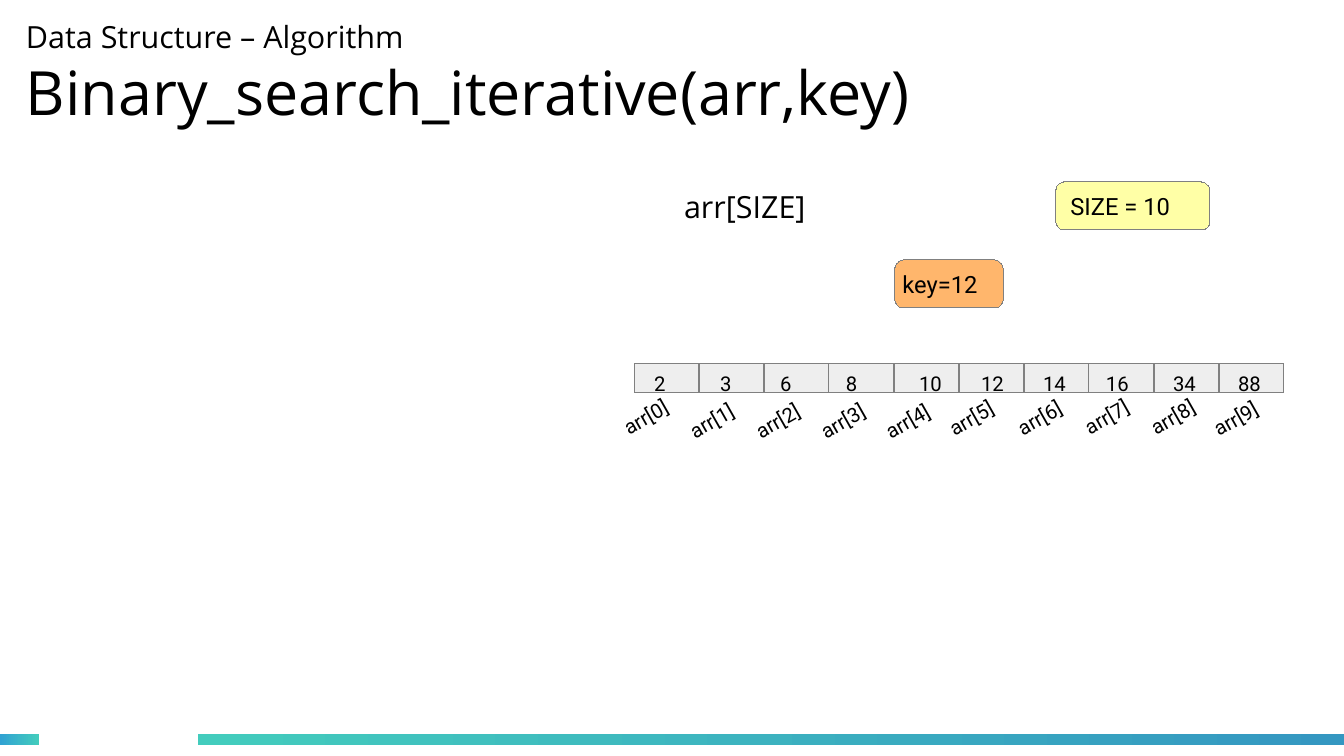
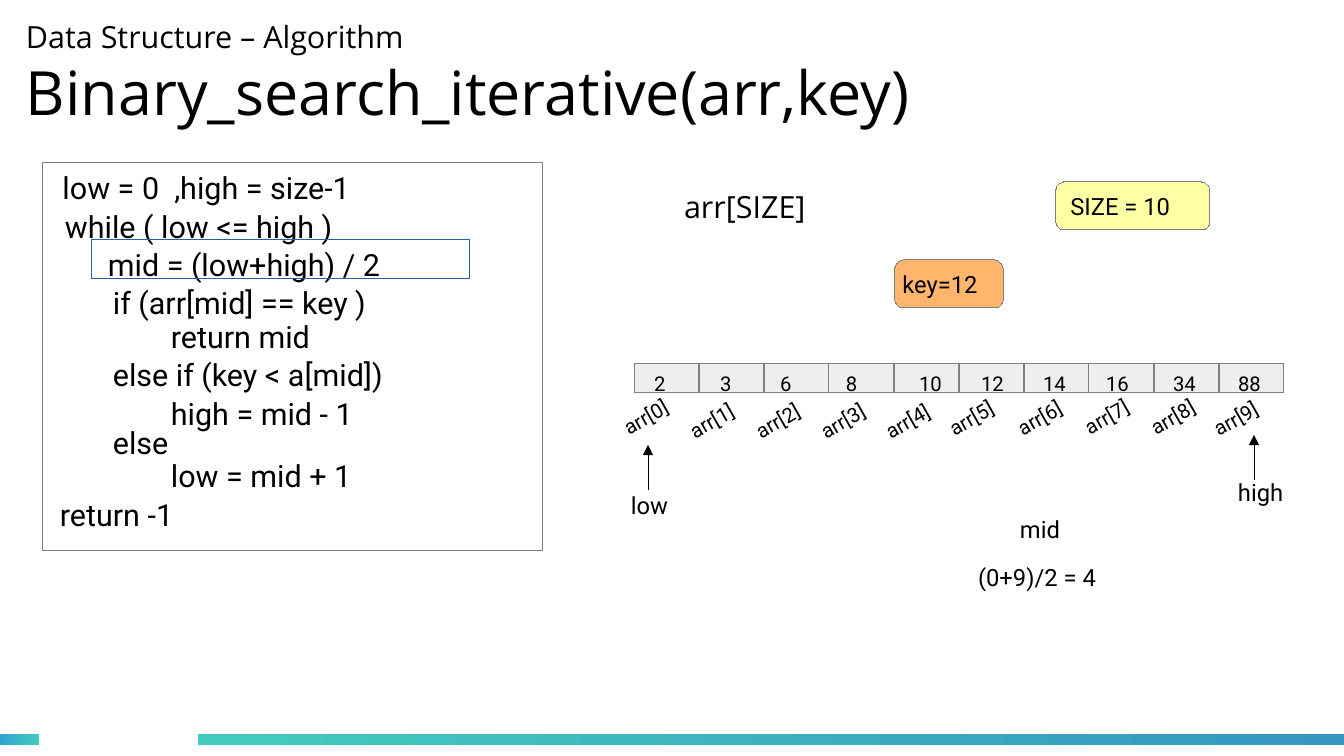
from pptx import Presentation
from pptx import util as u
from pptx.dml.color import RGBColor
from pptx.enum import shapes, text
from pptx.oxml.ns import qn
from lxml import etree

# Shared look
EMU_PER_PX = 7495
HAIRLINE = u.Emu(1)
BLACK = RGBColor(0x00, 0x00, 0x00)
WHITE = RGBColor(0xFF, 0xFF, 0xFF)
GREY = RGBColor(0x80, 0x80, 0x80)
CELL = RGBColor(0xEE, 0xEE, 0xEE)
YELLOW = RGBColor(0xFF, 0xFF, 0xA6)
ORANGE = RGBColor(0xFF, 0xB6, 0x6C)
NAVY = RGBColor(0x2A, 0x60, 0x99)
TEAL = RGBColor(0x43, 0xCC, 0xBD)
SKY = RGBColor(0x30, 0xA2, 0xD2)
BLUE = RGBColor(0x34, 0x97, 0xC1)
HEAD_FONT, BODY_FONT = "Open Sans", "Roboto"
RECT = shapes.MSO_SHAPE.RECTANGLE
ROUNDED = shapes.MSO_SHAPE.ROUNDED_RECTANGLE
TOP, MIDDLE = text.MSO_ANCHOR.TOP, text.MSO_ANCHOR.MIDDLE

# Array: value and left inset inside its cell
CELLS = [(2, 20), (3, 21), (6, 16), (8, 17), (10, 25),
         (12, 22), (14, 19), (16, 17), (34, 19), (88, 19)]
CELL_LEFT, CELL_TOP, CELL_WIDTH, CELL_HEIGHT = 634, 364, 65, 29
# Slanted index labels: left, top, width, height, rotation
INDEX_LABELS = [(610, 395, 85, 40, 330.4), (676, 399, 84, 40, 330.4),
                (742, 399, 84, 40, 330.4), (808, 399, 84, 44, 330.5),
                (872, 400, 82, 40, 330.4), (935, 394, 93, 40, 330.5),
                (1004, 392, 99, 44, 330.4), (1072, 395, 83, 44, 330.5),
                (1137, 395, 85, 40, 330.4), (1199, 393, 99, 40, 330.5)]

# Code: indent, line height, text
CODE = [(12, 36, " low = 0  ,high = size-1"),
        (22, 39, "while ( low <= high )"),
        (65, 38, "mid = (low+high) / 2"),
        (70, 38, "if (arr[mid] == key )"),
        (128, 34, "return mid"),
        (70, 38, "else if (key < a[mid])"),
        (128, 39, "high = mid - 1"),
        (70, 29, "else"),
        (128, 33, "low = mid + 1"),
        (17, 39, "return -1")]


def px(count):
    return u.Emu(count * EMU_PER_PX)


def set_frame(shape, insets, anchor):
    frame = shape.text_frame
    frame.word_wrap = True
    frame.vertical_anchor = anchor
    (frame.margin_left, frame.margin_top,
     frame.margin_right, frame.margin_bottom) = map(px, insets)
    return frame


def set_font(font, size, name=BODY_FONT):
    font.size, font.name = u.Pt(size), name
    font.color.rgb = BLACK


def add_box(page, kind, left, top, width, height, fill=None, line=None):
    box = page.shapes.add_shape(kind, px(left), px(top), px(width), px(height))
    box.shadow.inherit = False
    if fill is None:
        box.fill.background()
    else:
        box.fill.solid()
        box.fill.fore_color.rgb = fill
    if line is None:
        box.line.fill.background()
    else:
        box.line.color.rgb = line
        box.line.width = HAIRLINE
    return box


def write(shape, words, size, insets, anchor=MIDDLE, font=BODY_FONT):
    para = set_frame(shape, insets, anchor).paragraphs[0]
    para.text = words
    para.alignment = text.PP_ALIGN.LEFT
    set_font(para.font, size, font)


def add_text(page, words, left, top, width, height, size, font=BODY_FONT):
    box = page.shapes.add_textbox(px(left), px(top), px(width), px(height))
    write(box, words, size, (12, 6, 12, 6), TOP, font)
    return box


def add_band(page, left, width, start, end):
    band = add_box(page, RECT, left, 734, width, 11, WHITE)
    band.fill.gradient()
    band.fill.gradient_angle = 0
    for stop, color in zip(band.fill.gradient_stops, (start, end)):
        stop.color.rgb = color


def add_title(page):
    box = page.shapes.add_textbox(px(26), px(-16), px(1270), px(177))
    para = set_frame(box, (0, 0, 0, 0), MIDDLE).paragraphs[0]
    set_font(para.font, 36, HEAD_FONT)
    topic = para.add_run()
    topic.text = "Data Structure – Algorithm "
    topic.font.size = u.Pt(18)
    para.add_line_break()
    para.add_run().text = "Binary_search_iterative(arr,key)"


def add_array(page):
    for index, (left, top, width, height, angle) in enumerate(INDEX_LABELS):
        label = add_text(page, f"arr[{index}]", left, top, width, height, 12)
        label.rotation = angle
    for index, (value, inset) in enumerate(CELLS):
        cell = add_box(page, RECT, CELL_LEFT + index * CELL_WIDTH, CELL_TOP,
                       CELL_WIDTH, CELL_HEIGHT, CELL, GREY)
        write(cell, str(value), 12, (inset, 10, 0, 0))


def add_code(page):
    box = add_box(page, RECT, 43, 163, 500, 388, WHITE, GREY)
    frame = set_frame(box, (0, 7, 0, 0), TOP)
    for number, (indent, height, words) in enumerate(CODE):
        para = frame.add_paragraph() if number else frame.paragraphs[0]
        para.text = words
        para.alignment = text.PP_ALIGN.LEFT
        para.line_spacing = px(height)
        para._p.get_or_add_pPr().set("marL", str(px(indent)))
        set_font(para.font, 18)
    # Current line
    add_box(page, RECT, 91, 240, 379, 39, line=NAVY)


def add_pointer(page, words, x, tip, label_left, label_top):
    arrow = page.shapes.add_connector(shapes.MSO_CONNECTOR.STRAIGHT,
                                      px(x), px(tip + 45), px(x), px(tip))
    arrow.line.color.rgb = BLACK
    arrow.line.width = HAIRLINE
    etree.SubElement(arrow.line._get_or_add_ln(), qn("a:tailEnd"), type="triangle")
    etree.SubElement(arrow._element.spPr, qn("a:effectLst"))
    add_text(page, words, label_left, label_top, 80, 44, 14)


def add_base(deck):
    page = deck.slides.add_slide(deck.slide_layouts[6])
    # Footer bands
    add_band(page, 0, 39, SKY, TEAL)
    add_band(page, 198, 1146, TEAL, BLUE)
    add_title(page)
    # Inputs
    add_text(page, "arr[SIZE]", 672, 182, 174, 54, 18, HEAD_FONT)
    for words, left, top, width, fill, inset in (
            ("SIZE = 10", 1056, 182, 154, YELLOW, 12),
            ("key=12", 895, 260, 108, ORANGE, 5)):
        tag = add_box(page, ROUNDED, left, top, width, 48, fill, GREY)
        write(tag, words, 14, (inset, 0, 0, 0))
    add_array(page)
    return page


def main():
    deck = Presentation()
    deck.slide_width, deck.slide_height = px(1344), px(756)

    # Slide 1: the inputs
    add_base(deck)

    # Slide 2: the first midpoint
    page = add_base(deck)
    add_code(page)
    add_pointer(page, "low", 648, 445, 619, 485)
    add_pointer(page, "high", 1254, 435, 1226, 472)
    add_text(page, "mid", 1008, 509, 80, 48, 14)
    add_text(page, "(0+9)/2 = 4", 966, 557, 174, 48, 14)

    deck.save("out.pptx")


if __name__ == "__main__":
    main()
